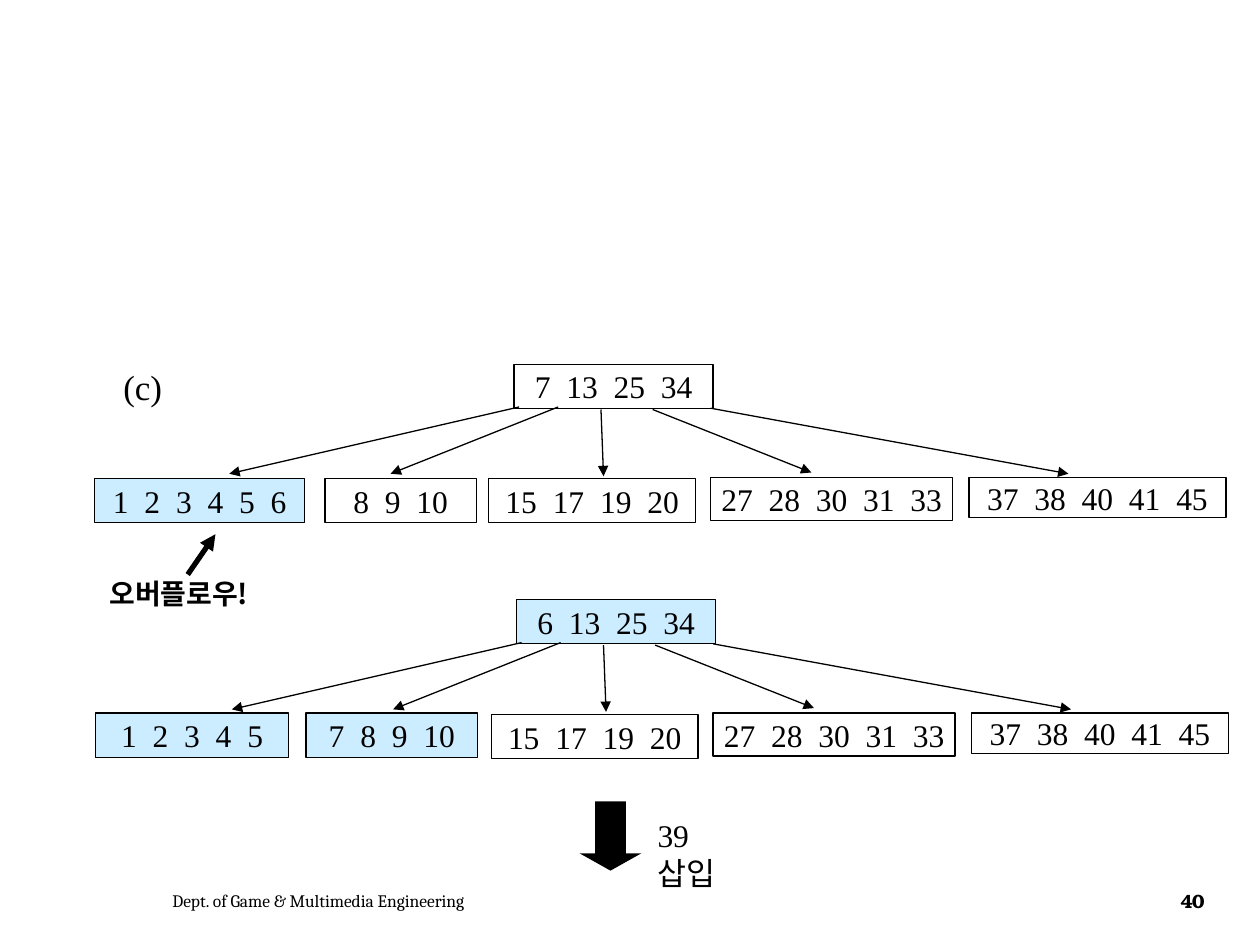
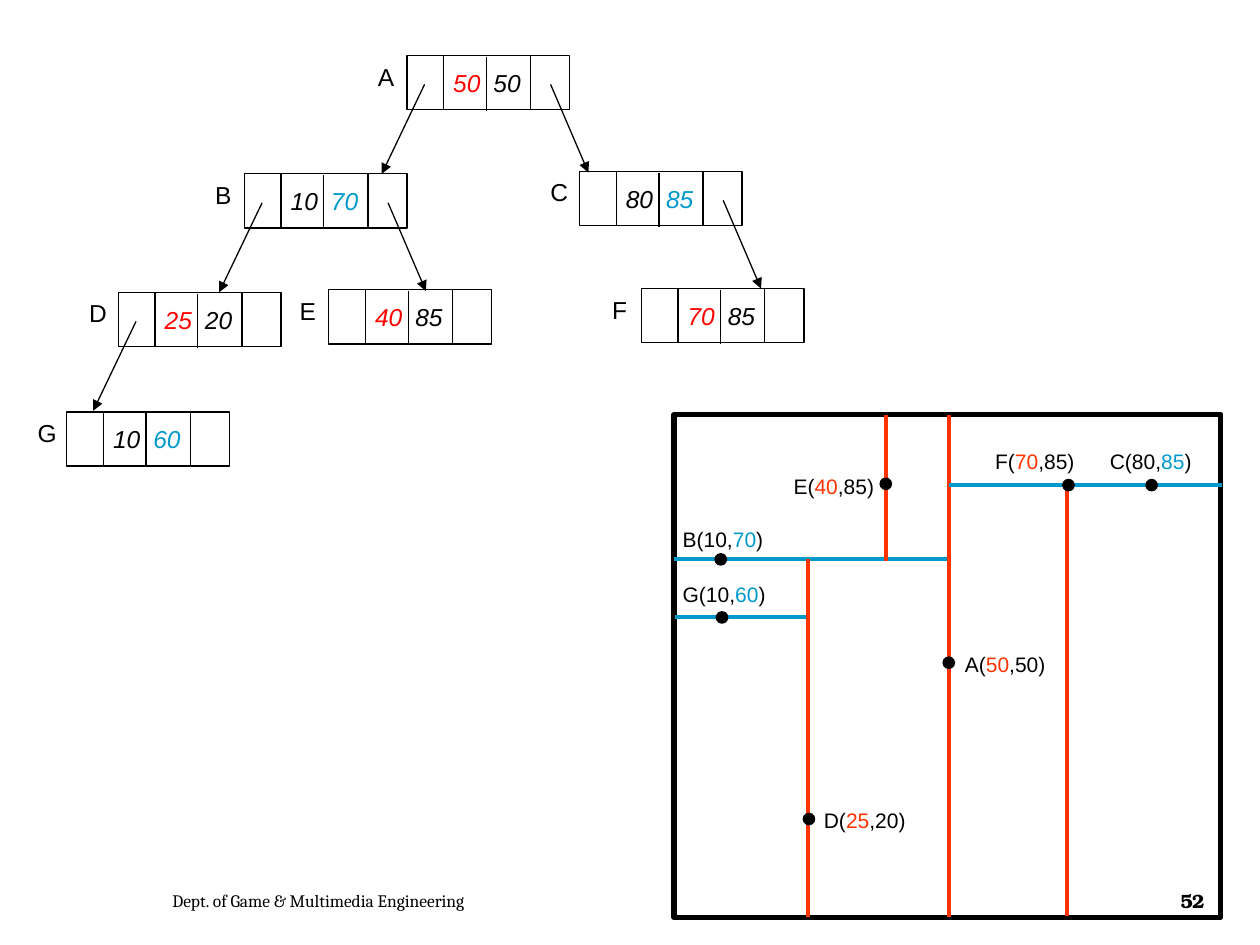
import pptx
import pptx.util
import pptx.dml.color
import pptx.enum.shapes
import pptx.enum.text
import pptx.oxml.ns
from lxml import etree

Pt = pptx.util.Pt
SHAPE = pptx.enum.shapes.MSO_SHAPE
ALIGN = pptx.enum.text.PP_ALIGN
ANCHOR = pptx.enum.text.MSO_ANCHOR
AUTO = pptx.enum.text.MSO_AUTO_SIZE

# Content: B+-tree insertion; node places are relative to the root
DEPARTMENT = "Dept. of Game & Multimedia Engineering"
SHARED_LEAVES = [  # left, top, width, height, keys, changed
    (-0.2, 0.91, 1.64, 0.35, "15 17 19 20", False),
    (1.56, 0.9, 1.92, 0.34, "27 28 30 31 33", False),
    (3.61, 0.9, 2.04, 0.32, "37 38 40 41 45", False),
]
B_TREES = [
    {"at": (4.08, 2.89), "nodes": [
        (0, 0, 1.58, 0.35, "7 13 25 34", False),
        (-3.33, 0.91, 1.67, 0.35, "1 2 3 4 5 6", True),
        (-1.5, 0.91, 1.2, 0.35, "8 9 10", False)]},
    {"at": (4.1, 4.76), "nodes": [
        (0, 0, 1.58, 0.35, "6 13 25 34", True),
        (-3.34, 0.9, 1.53, 0.35, "1 2 3 4 5", True),
        (-1.67, 0.9, 1.36, 0.35, "7 8 9 10", True)]},
]
BRANCHES = [  # start and end, relative to the root
    (0.04, 0.34, -2.26, 0.87), (0.35, 0.34, -0.98, 0.87),
    (0.69, 0.36, 0.71, 0.89), (1.1, 0.36, 2.36, 0.86),
    (1.56, 0.35, 4.4, 0.87),
]

# Content: k-d tree; axis is the coordinate that splits the plane
KD_POINTS = {  # x, y, axis
    "A": (50, 50, 0), "B": (10, 70, 1), "C": (80, 85, 1), "D": (25, 20, 0),
    "E": (40, 85, 0), "F": (70, 85, 0), "G": (10, 60, 1),
}
KD_NODES = {  # left, top, child pointers
    "A": (3.23, 0.44, "LR"), "B": (1.94, 1.38, "LR"), "C": (4.6, 1.36, "R"),
    "D": (0.94, 2.32, "L"), "E": (2.61, 2.3, ""), "F": (5.09, 2.29, ""),
    "G": (0.53, 3.27, ""),
}
POINTERS = {"L": (0.14, 0.23, -0.2, 0.94), "R": (1.14, 0.23, 1.44, 0.93)}
PLANE = (5.35, 3.29, 4.34, 3.99)
KD_CUTS = {  # split line, dot centre, label left and top, label width
    "A": ((7.53, 3.29, 7.53, 7.28), (7.53, 5.26), (7.56, 5.12), 0.84),
    "B": ((5.35, 4.44, 7.52, 4.44), (5.72, 4.44), (5.32, 4.13), 0.84),
    "C": ((7.53, 3.85, 9.7, 3.85), (9.14, 3.85), (8.71, 3.51), 0.85),
    "D": ((6.41, 4.44, 6.41, 7.28), (6.42, 6.5), (6.44, 6.36), 0.85),
    "E": ((7.03, 3.29, 7.03, 4.45), (7.03, 3.84), (6.2, 3.71), 0.84),
    "F": ((8.47, 3.85, 8.47, 7.27), (8.48, 3.85), (7.8, 3.51), 0.83),
    "G": ((5.36, 4.9, 6.4, 4.9), (5.73, 4.9), (5.32, 4.57), 0.86),
}


class Theme:
    ink, changed = "000000", "CCECFF"
    node_cut = ("FF0000", "0099CC")
    plane_cut = ("FF3300", "0099CC")
    thin, cut, thick = 0.75, 2.25, 3
    key = {"name": "Times New Roman", "size": Pt(18)}
    step = {"name": "Times New Roman", "size": Pt(20)}
    warning = {"name": "Noto Sans CJK KR", "size": Pt(16), "bold": True}
    value = {"name": "Arial", "size": Pt(14), "italic": True}
    name = {"name": "Arial", "size": Pt(14)}
    point = {"name": "Arial", "size": Pt(12)}
    footer = {"name": "Cambria", "size": Pt(10)}
    number = {"name": "TeX Gyre Bonum", "size": Pt(11), "bold": True}


# Drawing helpers; one grid unit is 2.54 cm
def grid(*values):
    return [pptx.util.Cm(v * 2.54) for v in values]


def rgb(color):
    return pptx.dml.color.RGBColor.from_string(color)


def write(tf, runs, font, align=ALIGN.LEFT, **frame):
    """Fill a frame with (text, colour, letter spacing in points) runs."""
    for key, value in frame.items():
        setattr(tf, key, value)
    p = tf.paragraphs[0]
    p.alignment = align
    for text, color, spacing in runs:
        r = p.add_run()
        r.text = text
        for key, value in font.items():
            setattr(r.font, key, value)
        r.font.color.rgb = rgb(color)
        rpr = r.font._element
        if spacing:
            rpr.set("spc", str(round(spacing * 100)))
        etree.SubElement(rpr, pptx.oxml.ns.qn("a:ea"),
                         typeface=Theme.warning["name"])


def spaced(items, font):
    """Runs for (text, colour) items, set two space widths apart."""
    runs = []
    for text, color in items:
        if runs:
            runs.append((" ", color, font["size"].pt / 4))
        runs.append((text, color, 0))
    return runs


def label(s, at, runs, font, align=ALIGN.LEFT, **frame):
    frame = {"word_wrap": False, "auto_size": AUTO.SHAPE_TO_FIT_TEXT, **frame}
    box = s.shapes.add_textbox(*grid(*at))
    write(box.text_frame, runs, font, align, **frame)


def shape(s, kind, at, fill=None, width=Theme.thin):
    sp = s.shapes.add_shape(kind, *grid(*at))
    sp.shadow.inherit = False
    if fill:
        sp.fill.solid()
        sp.fill.fore_color.rgb = rgb(fill)
    else:
        sp.fill.background()
    if width:
        sp.line.color.rgb = rgb(Theme.ink)
        sp.line.width = Pt(width)
    else:
        sp.line.fill.background()
    return sp


def cell(s, at, runs, font, fill=None):
    sp = shape(s, SHAPE.RECTANGLE, at, fill)
    write(sp.text_frame, runs, font, ALIGN.CENTER, word_wrap=False,
          vertical_anchor=ANCHOR.MIDDLE)


def line(s, ends, color=Theme.ink, width=Theme.thin, arrow=False):
    kind = pptx.enum.shapes.MSO_CONNECTOR.STRAIGHT
    c = s.shapes.add_connector(kind, *grid(*ends))
    c.line.color.rgb = rgb(color)
    c.line.width = Pt(width)
    qn = pptx.oxml.ns.qn
    if arrow:
        etree.SubElement(c.line._get_or_add_ln(), qn("a:tailEnd"), type="triangle")
    etree.SubElement(c._element.spPr, qn("a:effectLst"))


def shifted(ends, x, y):
    x1, y1, x2, y2 = ends
    return x + x1, y + y1, x + x2, y + y2


def footer(s, number):
    frame = {"word_wrap": True, "auto_size": AUTO.NONE,
             "vertical_anchor": ANCHOR.MIDDLE}
    label(s, (1.27, 6.95, 4.59, 0.4), [(DEPARTMENT, Theme.ink, 0)],
          Theme.footer, **frame)
    label(s, (9.2, 6.95, 0.53, 0.4), [(number, Theme.ink, -0.7)],
          Theme.number, ALIGN.CENTER, **frame)


# Slide parts
def b_tree(s, tree):
    x, y = tree["at"]
    for left, top, w, h, keys, changed in tree["nodes"] + SHARED_LEAVES:
        items = [(key, Theme.ink) for key in keys.split()]
        cell(s, (x + left, y + top, w, h), spaced(items, Theme.key),
             Theme.key, Theme.changed if changed else None)
    for ends in BRANCHES:
        line(s, shifted(ends, x, y), arrow=True)


def kd_node(s, name):
    x, y, pointers = KD_NODES[name]
    *values, axis = KD_POINTS[name]
    items = [(str(v), Theme.node_cut[i] if i == axis else Theme.ink)
             for i, v in enumerate(values)]
    shape(s, SHAPE.RECTANGLE, (x, y, 1.29, 0.43))
    cell(s, (x + 0.29, y, 0.69, 0.43), spaced(items, Theme.value), Theme.value)
    line(s, shifted((0.63, 0.01, 0.63, 0.44), x, y))
    label(s, (x - 0.33, y, 0.33, 0.33), [(name, Theme.ink, 0)], Theme.name)
    for side in pointers:
        line(s, shifted(POINTERS[side], x, y), arrow=True)


def kd_cut(s, name):
    ends, (x, y), corner, width = KD_CUTS[name]
    *values, axis = KD_POINTS[name]
    color = Theme.plane_cut[axis]
    parts = [f"{name}(", str(values[0]), ",", str(values[1]), ")"]
    cut_part = 1 + 2 * axis
    runs = [("".join(parts[:cut_part]), Theme.ink, 0),
            (parts[cut_part], color, 0),
            ("".join(parts[cut_part + 1:]), Theme.ink, 0)]
    line(s, ends, color, Theme.cut)
    shape(s, SHAPE.OVAL, (x - 0.045, y - 0.045, 0.09, 0.09), Theme.ink)
    label(s, (*corner, width, 0.3), runs, Theme.point)


def insertion_slide(s):
    for tree in B_TREES:
        b_tree(s, tree)
    label(s, (0.88, 2.85, 0.51, 0.43), [("(c)", Theme.ink, 0)], Theme.step)
    label(s, (0.77, 4.53, 1.37, 0.37), [("오버플로우!", Theme.ink, 0)],
          Theme.warning)
    line(s, (1.49, 4.56, 1.71, 4.24), width=Theme.thick, arrow=True)
    arrow = shape(s, SHAPE.DOWN_ARROW, (4.6, 6.36, 0.49, 0.55), Theme.ink, 0)
    arrow.adjustments[0], arrow.adjustments[1] = 0.5, 0.28
    label(s, (5.12, 6.43, 1.01, 0.4), [("39 삽입", Theme.ink, 0)], Theme.key,
          word_wrap=True, auto_size=AUTO.NONE, margin_right=grid(0.25)[0])
    footer(s, "40")


def kd_slide(s):
    shape(s, SHAPE.RECTANGLE, PLANE, width=Theme.thick)
    for name in KD_CUTS:
        kd_cut(s, name)
    for name in KD_NODES:
        kd_node(s, name)
    footer(s, "52")


def main():
    prs = pptx.Presentation()
    prs.slide_width, prs.slide_height = grid(10, 7.5)
    for build in (insertion_slide, kd_slide):
        build(prs.slides.add_slide(prs.slide_layouts[6]))
    prs.save("out.pptx")


if __name__ == "__main__":
    main()
